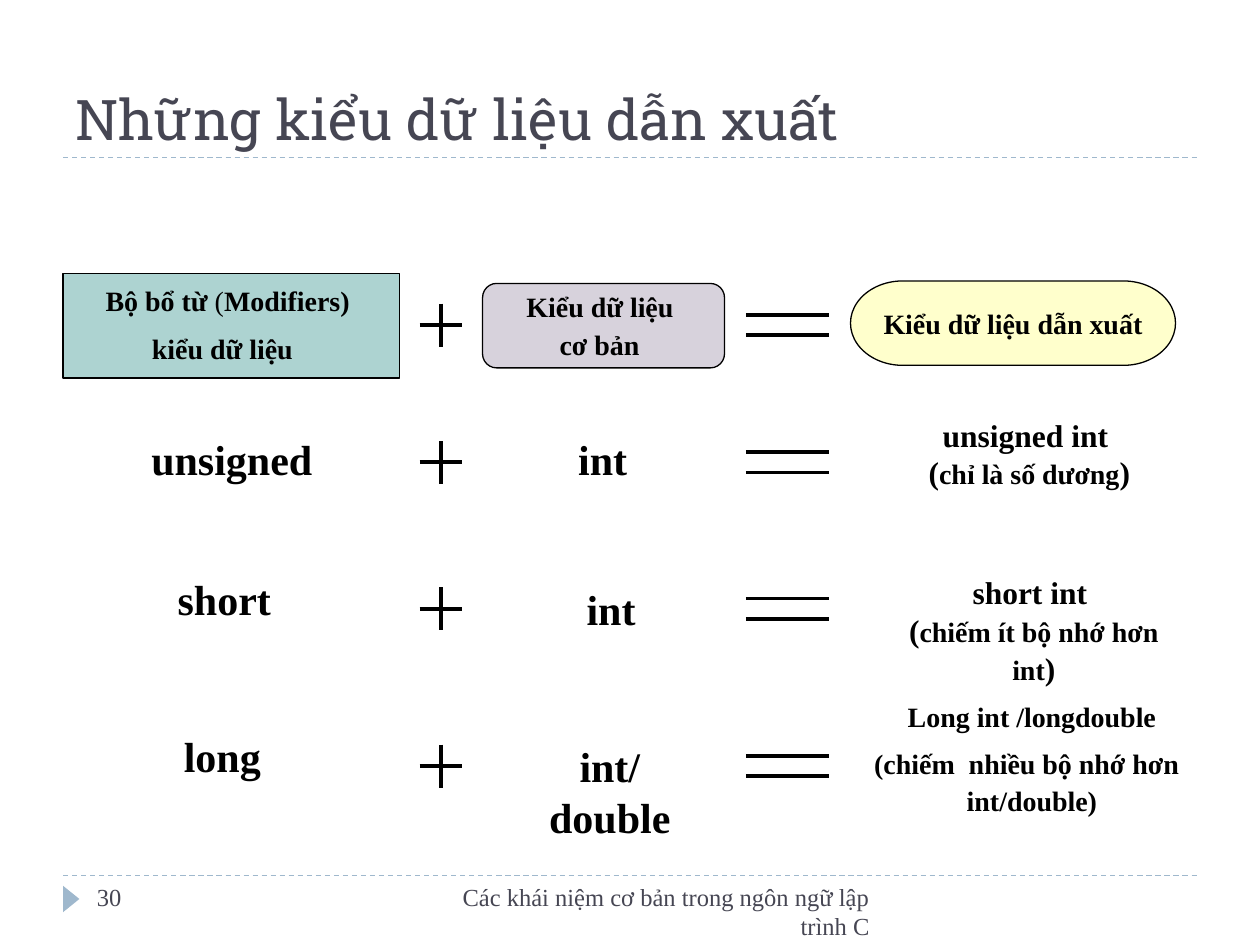
from pptx import Presentation
from pptx.dml.color import RGBColor
from pptx.enum.dml import MSO_LINE
from pptx.enum.shapes import MSO_CONNECTOR, MSO_SHAPE as SHAPE
from pptx.enum.text import MSO_ANCHOR as ANCHOR, PP_ALIGN as ALIGN
from pptx.oxml.ns import qn
from pptx.util import Inches, Pt

COLORS = {
    "black": "000000", "text": "464653", "accent": "9FB8CD",
    "teal": "ADD3D1", "mauve": "D7D2DC", "yellow": "FFFFCC",
}
RGB = {name: RGBColor.from_string(value) for name, value in COLORS.items()}


def add_line(x1, y1, x2, y2, color="black", width=2.25):
    line = s.shapes.add_connector(
        MSO_CONNECTOR.STRAIGHT, Inches(x1), Inches(y1), Inches(x2), Inches(y2))
    line.line.color.rgb = RGB[color]
    line.line.width = Pt(width)
    sp_pr = line._element.spPr
    sp_pr.append(sp_pr.makeelement(qn("a:effectLst"), {}))
    return line


def write(sp, paragraphs, align=ALIGN.CENTER, color="black", bold=True,
          font="Times New Roman", anchor=ANCHOR.TOP, wrap=False):
    """Fill a shape with paragraphs, each a list of (text, size[, bold]) runs."""
    tf = sp.text_frame
    tf.word_wrap = wrap
    tf.vertical_anchor = anchor
    for i, runs in enumerate(paragraphs):
        p = tf.paragraphs[0] if i == 0 else tf.add_paragraph()
        p.alignment = align
        p.font.name = font
        p.font.size = Pt(runs[0][1])
        p.font.bold = bold
        p.font.color.rgb = RGB[color]
        for text, size, *weight in runs:
            r = p.add_run()
            r.text = text
            if size != runs[0][1]:
                r.font.size = Pt(size)
            if weight:
                r.font.bold = weight[0]


prs = Presentation()
prs.slide_width, prs.slide_height = Inches(10), Inches(7.5)
s = prs.slides.add_slide(prs.slide_layouts[6])

# Rules and page marker
for y in (6.95, 1.25):
    add_line(0.5, y, 9.5, y, "accent", 0.75).line.dash_style = MSO_LINE.DASH
marker = s.shapes.add_shape(
    SHAPE.ISOSCELES_TRIANGLE, Inches(0.46), Inches(7.07), Inches(0.21), Inches(0.13))
marker.rotation = 90
marker.shadow.inherit = False
marker.fill.solid()
marker.fill.fore_color.rgb = RGB["accent"]
marker.line.fill.background()

# Title, footer and page number
frame_texts = [
    ((0.5, 0.25, 9, 1), "Những kiểu dữ liệu dẫn xuất", 32, "Roboto Slab",
     ALIGN.LEFT, ANCHOR.BOTTOM),
    ((3.17, 6.95, 3.83, 0.4), "Các khái niệm cơ bản trong ngôn ngữ lập trình C", 14,
     "Times New Roman", ALIGN.RIGHT, ANCHOR.TOP),
    ((0.67, 6.95, 2.17, 0.4), "30", 14, "Times New Roman", ALIGN.LEFT, ANCHOR.TOP),
]
for box, text, size, font, align, anchor in frame_texts:
    sp = s.shapes.add_textbox(*map(Inches, box))
    write(sp, [[(text, size)]], align, "text", False, font, anchor, wrap=True)

# Plus and equals signs, one pair per row
for y in (2.58, 3.67, 4.83, 6.08):
    add_line(3.5, y - 0.17, 3.5, y + 0.17)
    add_line(3.33, y, 3.67, y)
    for dy in (-0.08, 0.08):
        add_line(5.92, y + dy, 6.58, y + dy)

# Heading shapes
headings = [
    (SHAPE.RECTANGLE, (0.5, 2.17, 2.67, 0.83), "teal",
     [[("Bộ bổ từ", 16), (" (", 16, False), ("Modifiers) ", 16)],
      [("kiểu dữ liệu", 16), (" ", 24, False), (" ", 16)]]),
    (SHAPE.ROUNDED_RECTANGLE, (3.83, 2.25, 1.92, 0.67), "mauve",
     [[("Kiểu dữ liệu ", 16)], [("cơ bản", 16), (" ", 18)]]),
    (SHAPE.FLOWCHART_TERMINATOR, (6.75, 2.23, 2.58, 0.67), "yellow",
     [[("Kiểu dữ liệu dẫn xuất", 16)]]),
]
for kind, box, fill, paragraphs in headings:
    sp = s.shapes.add_shape(kind, *map(Inches, box))
    sp.shadow.inherit = False
    sp.fill.solid()
    sp.fill.fore_color.rgb = RGB[fill]
    sp.line.color.rgb = RGB["black"]
    sp.line.width = Pt(0.75)
    write(sp, paragraphs, anchor=ANCHOR.MIDDLE)

# Modifier + basic type = derived type
terms = [
    ((1.1, 3.39, 1.48, 0.5), [[("unsigned", 24)]]),
    ((4.49, 3.39, 0.67, 0.5), [[("int ", 24)]]),
    ((6.92, 3.25, 2.5, 0.7),
     [[("unsigned int ", 18)], [("(", 18), ("chỉ là số dương", 16), (")", 18)]]),
    ((1.31, 4.5, 0.94, 0.5), [[("short", 24)]]),
    ((4.45, 4.58, 0.8, 0.5), [[("int", 24)]]),
    ((6.92, 4.5, 2.57, 0.7),
     [[("short int ", 18)], [("(", 18), ("chiếm ít bộ nhớ hơn int", 16), (")", 18)]]),
    ((1.36, 5.75, 0.81, 0.5), [[("long", 24)]]),
    ((4.02, 5.83, 1.64, 0.5), [[("int/double", 24)]]),
    ((6.84, 5.5, 2.7, 1.04),
     [[("Long int /longdouble", 16)],
      [("(chiếm  nhiều bộ nhớ hơn", 16), (" ", 24, False)],
      [("int/double)", 16)]]),
]
for box, paragraphs in terms:
    write(s.shapes.add_textbox(*map(Inches, box)), paragraphs)

prs.save("out.pptx")
